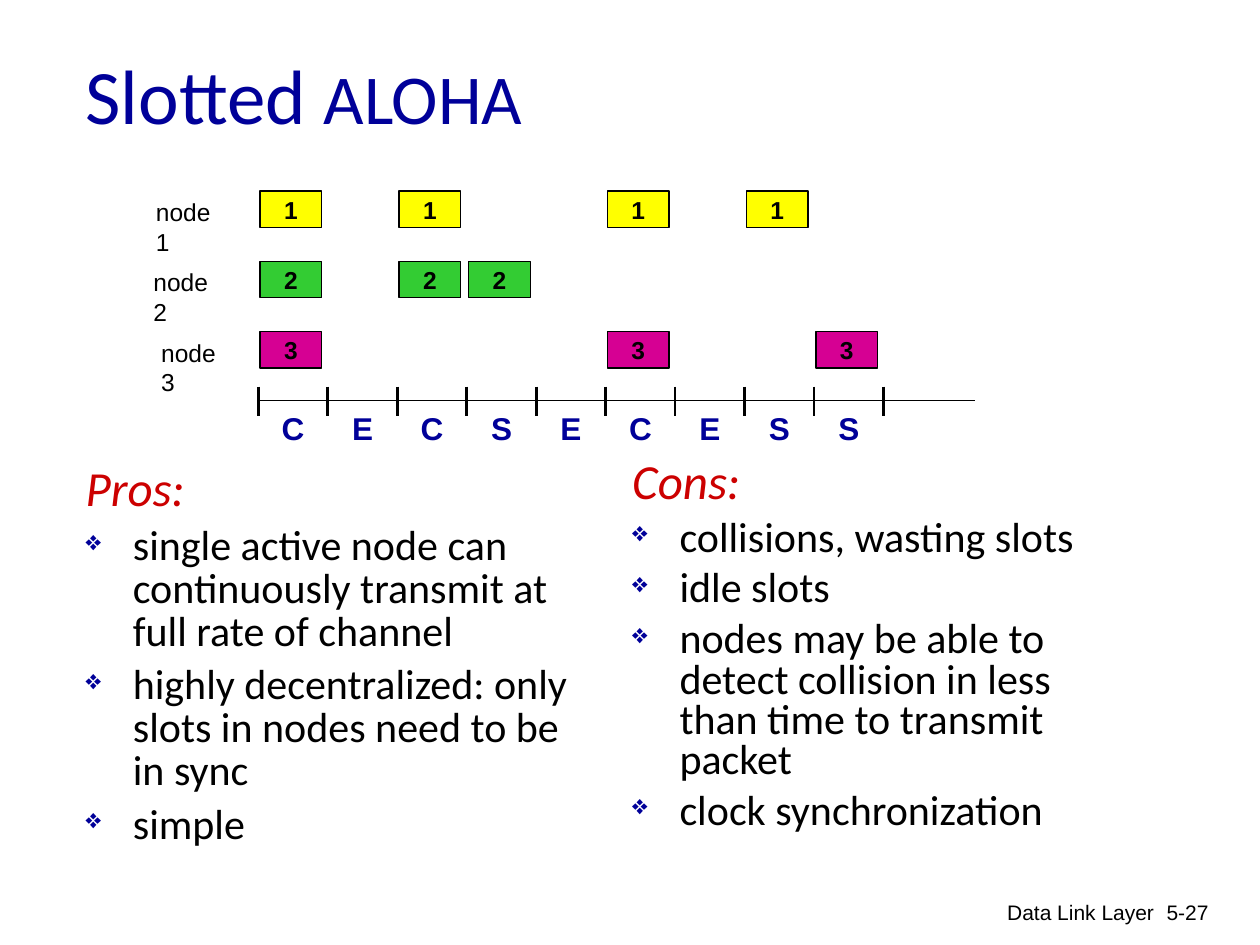
"""Build the Slotted ALOHA slide: slot timeline with pros and cons."""
from lxml import etree
from pptx import Presentation
from pptx.dml.color import RGBColor
from pptx.enum.shapes import MSO_CONNECTOR, MSO_SHAPE
from pptx.enum.text import MSO_ANCHOR, PP_ALIGN
from pptx.oxml.ns import qn
from pptx.util import Pt

LEFT, CENTER, RIGHT = PP_ALIGN.LEFT, PP_ALIGN.CENTER, PP_ALIGN.RIGHT
MIDDLE = MSO_ANCHOR.MIDDLE
RECTANGLE = MSO_SHAPE.RECTANGLE
STRAIGHT = MSO_CONNECTOR.STRAIGHT
BLACK, NAVY, RED = "000000", "000099", "CC0000"


def color(value):
    return RGBColor.from_string(value)


def add_run(paragraph, text, size, font_name, fill, bold=False, italic=False):
    run = paragraph.add_run()
    run.text = text
    run.font.size = Pt(size)
    run.font.name = font_name
    run.font.color.rgb = color(fill)
    run.font.bold = bold
    run.font.italic = italic


presentation = Presentation()
presentation.slide_width, presentation.slide_height = Pt(720), Pt(540)
slide = presentation.slides.add_slide(presentation.slide_layouts[6])
shapes = slide.shapes

title = shapes.add_textbox(Pt(41.8), Pt(8.6), Pt(390), Pt(90)).text_frame
title.word_wrap = True
title.vertical_anchor = MIDDLE
add_run(title.paragraphs[0], "Slotted ", 44, "Calibri", NAVY)
add_run(title.paragraphs[0], "ALOHA", 40, "Calibri", NAVY)

axis_left, axis_right, axis_y = 147.6, 557.3, 229
slot_width = 39.7
outcomes = "CECSECESS"

rows = [
    ("1", 82, "FFFF00", [0, 2, 5, 7]),
    ("2", 80.6, "33CC33", [0, 2, 3]),
    ("3", 85, "D60093", [0, 5, 8]),
]
for row, (number, label_left, fill, slots) in enumerate(rows):
    top = 109.1 + row * 40.2
    label = shapes.add_textbox(Pt(label_left), Pt(top), Pt(57), Pt(24.2))
    label.text_frame.word_wrap = False
    add_run(label.text_frame.paragraphs[0], f"node {number}", 14, "Arial", BLACK)
    for slot in slots:
        left = axis_left + slot * slot_width + 1
        frame = shapes.add_shape(RECTANGLE, Pt(left), Pt(top), Pt(35.3), Pt(20.9))
        frame.shadow.inherit = False
        frame.fill.solid()
        frame.fill.fore_color.rgb = color(fill)
        frame.line.color.rgb = color(BLACK)
        frame.line.width = Pt(0.75)
        frame.text_frame.vertical_anchor = MIDDLE
        frame.text_frame.margin_top = frame.text_frame.margin_bottom = Pt(0)
        paragraph = frame.text_frame.paragraphs[0]
        paragraph.alignment = CENTER
        add_run(paragraph, number, 14, "Arial", BLACK, bold=True)

lines = [(axis_left, axis_y, axis_right, axis_y, 0.75)]
for tick in range(len(outcomes) + 1):
    x = axis_left + tick * slot_width
    lines.append((x, 221, x, 238, 1.5))
for start_x, start_y, end_x, end_y, width in lines:
    line = shapes.add_connector(STRAIGHT, Pt(start_x), Pt(start_y), Pt(end_x), Pt(end_y))
    line.line.color.rgb = color(BLACK)
    line.line.width = Pt(width)
    etree.SubElement(line._element.spPr, qn("a:effectLst"))

for slot, outcome in enumerate(outcomes):
    left = axis_left + slot * slot_width
    label = shapes.add_textbox(Pt(left), Pt(230.2), Pt(slot_width), Pt(28.8))
    paragraph = label.text_frame.paragraphs[0]
    paragraph.alignment = CENTER
    add_run(paragraph, outcome, 18, "Arial", NAVY, bold=True)

columns = [
    (41.8, 262.8, 0.85, "Pros:", [
        "single active node can continuously transmit at full rate of channel",
        "highly decentralized: only slots in nodes need to be in sync",
        "simple",
    ]),
    (354.2, 260.6, 0.8, "Cons:", [
        "collisions, wasting slots",
        "idle slots",
        "nodes may be able to detect collision in less than time to transmit packet",
        "clock synchronization",
    ]),
]
for left, top, spacing, heading, points in columns:
    body = shapes.add_textbox(Pt(left), Pt(top), Pt(300), Pt(252)).text_frame
    body.word_wrap = True
    paragraph = body.paragraphs[0]
    paragraph.line_spacing = spacing
    add_run(paragraph, heading, 28, "Calibri", RED, italic=True)
    for point in points:
        paragraph = body.add_paragraph()
        properties = paragraph._p.get_or_add_pPr()
        properties.set("marL", str(Pt(27)))
        properties.set("indent", str(Pt(-27)))
        bullet_color = etree.SubElement(properties, qn("a:buClr"))
        etree.SubElement(bullet_color, qn("a:srgbClr"), val=NAVY)
        etree.SubElement(properties, qn("a:buSzPct"), val="65000")
        etree.SubElement(properties, qn("a:buChar"), char="❖")
        paragraph.line_spacing = spacing
        paragraph.space_before = Pt(6)
        add_run(paragraph, point, 24, "Calibri", BLACK)

footers = [("Data Link Layer", 438.5, 228.2), ("5-27", 644.4, 53.3)]
for text, left, width in footers:
    footer = shapes.add_textbox(Pt(left), Pt(510.5), Pt(width), Pt(29)).text_frame
    footer.word_wrap = True
    footer.paragraphs[0].alignment = RIGHT
    add_run(footer.paragraphs[0], text, 12, "Arial", BLACK)

presentation.save("out.pptx")
